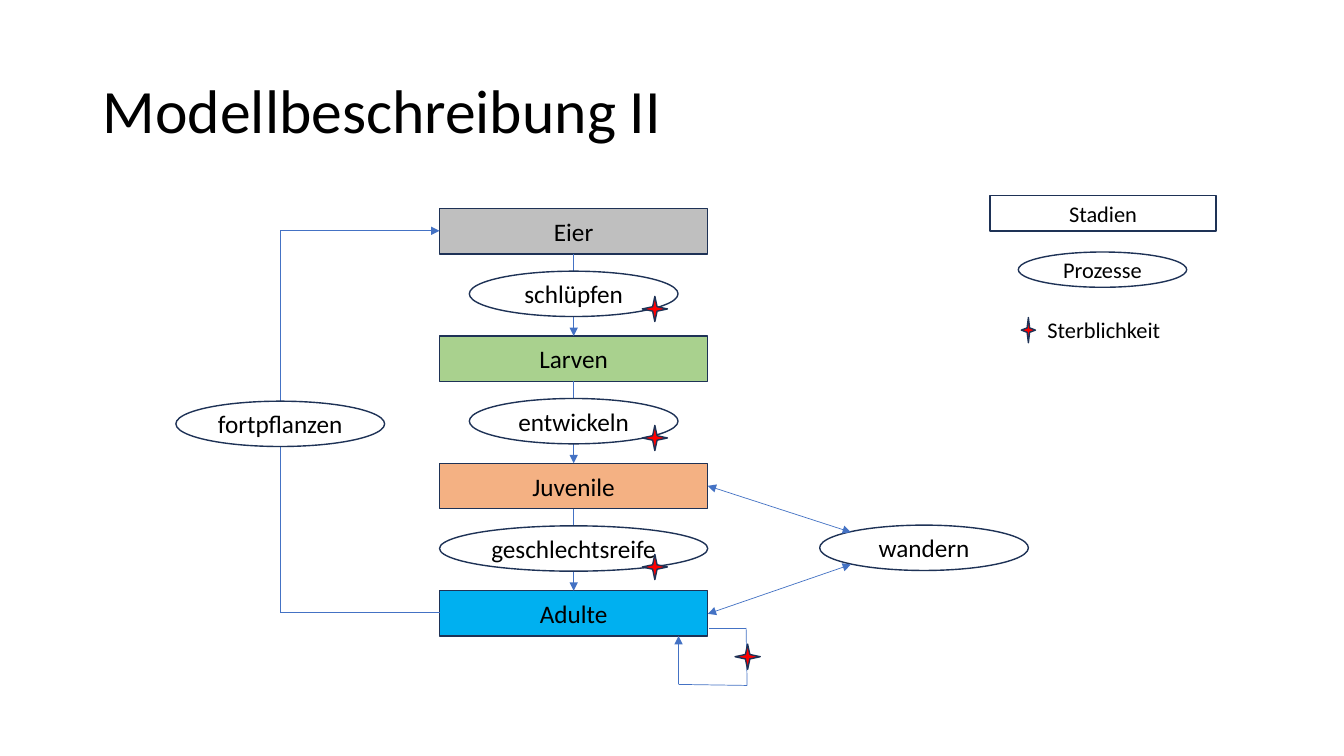
from pptx import Presentation
from pptx.dml.color import RGBColor
from pptx.enum.shapes import MSO_CONNECTOR, MSO_SHAPE
from pptx.enum.text import MSO_ANCHOR, PP_ALIGN
from pptx.oxml.ns import qn
from pptx.util import Inches, Pt
from lxml import etree

RECT, OVAL, STAR = MSO_SHAPE.RECTANGLE, MSO_SHAPE.OVAL, MSO_SHAPE.STAR_4_POINT
STRAIGHT = MSO_CONNECTOR.STRAIGHT
MIDDLE = MSO_ANCHOR.MIDDLE
LEFT, CENTER = PP_ALIGN.LEFT, PP_ALIGN.CENTER
FONT = "Calibri"
COLORS = {
    "text": "000000", "white": "FFFFFF", "edge": "1E3256", "arrow": "4472C4",
    "eggs": "BFBFBF", "larvae": "A9D18E", "young": "F4B183",
    "adult": "00B0F0", "death": "FF0000",
}
STAGES = [("Eier", "eggs"), ("Larven", "larvae"),
          ("Juvenile", "young"), ("Adulte", "adult")]
STEPS = [("schlüpfen", 2.07), ("entwickeln", 2.07), ("geschlechtsreife", 2.66)]
BOX_W, BOX_H = 2.66, 0.45
OVAL_W = 2.07
PITCH = 3.79 / 3


def color(name):
    return RGBColor.from_string(COLORS[name])


def style(para, size, align):
    para.alignment = align
    for run in para.runs:
        run.font.name = FONT
        run.font.size = Pt(size)
        run.font.color.rgb = color("text")


def node(slide, kind, x, y, w, h, fill="white", text="", size=18):
    shape = slide.shapes.add_shape(kind, Inches(x), Inches(y), Inches(w), Inches(h))
    shape.shadow.inherit = False
    shape.fill.solid()
    shape.fill.fore_color.rgb = color(fill)
    shape.line.color.rgb = color("edge")
    shape.line.width = Pt(1)
    if text:
        frame = shape.text_frame
        frame.word_wrap = False
        frame.vertical_anchor = MIDDLE
        frame.text = text
        style(frame.paragraphs[0], size, CENTER)
    return shape


def star(slide, x, y, w=0.25):
    node(slide, STAR, x, y, w, 0.25, "death")


def link(slide, start, end, *ends):
    """Draw a line; ends names the arrowheads, headEnd at start before tailEnd at end."""
    line = slide.shapes.add_connector(STRAIGHT, *map(Inches, start + end))
    line.line.color.rgb = color("arrow")
    line.line.width = Pt(0.5)
    props = line._element.spPr
    for tag in ends:
        etree.SubElement(props.find(qn("a:ln")), qn("a:" + tag), type="triangle")
    etree.SubElement(props, qn("a:effectLst"))


def route(slide, points):
    """Join points by straight lines, with an arrowhead on the last."""
    last = len(points) - 2
    for i, (start, end) in enumerate(zip(points, points[1:])):
        link(slide, start, end, *(["tailEnd"] if i == last else []))


def title(slide, x, y, w, h):
    shape = slide.shapes.title
    shape.left, shape.top, shape.width, shape.height = map(Inches, (x, y, w, h))
    frame = shape.text_frame
    frame.text = "Modellbeschreibung II"
    frame.vertical_anchor = MIDDLE
    style(frame.paragraphs[0], 44, LEFT)
    frame.paragraphs[0].line_spacing = 0.9


def stages(slide, x, y):
    """Draw the column of stages with the processes between them."""
    mid = x + BOX_W / 2
    for i, (name, fill) in enumerate(STAGES):
        node(slide, RECT, x, y + i * PITCH, BOX_W, BOX_H, fill, name)
    for i, (name, w) in enumerate(STEPS):
        top = y + i * PITCH
        link(slide, (mid, top + BOX_H), (mid, top + PITCH), "tailEnd")
        node(slide, OVAL, mid - w / 2, top + 0.62, w, BOX_H, text=name)
        star(slide, x + 2.01, y + 0.87 + i * 1.28)


def breeding(slide, x, y, right):
    """Lead from the adults back to the eggs along the line at x."""
    low = y + 3 * PITCH
    route(slide, [(right, low), (x, low), (x, y), (right, y)])
    node(slide, OVAL, x - OVAL_W / 2, y + 1.69, OVAL_W, BOX_H, text="fortpflanzen")


def roaming(slide, x, y, left):
    node(slide, OVAL, x, y, OVAL_W, BOX_H, text="wandern")
    for from_y, to_y in ((-0.39, 0.07), (0.88, 0.39)):
        link(slide, (left, y + from_y), (x + 0.31, y + to_y), "headEnd", "tailEnd")


def survival(slide, x, y):
    """Draw the loop of the adults that starts at x, y."""
    route(slide, [(x, y), (x + 0.37, y), (x + 0.38, y + 0.57),
                  (x - 0.3, y + 0.56), (x - 0.3, y + 0.08)])
    star(slide, x + 0.26, y + 0.16)


def legend(slide, x, y):
    node(slide, RECT, x, y, 2.24, 0.35, text="Stadien", size=16)
    node(slide, OVAL, x + 0.28, y + 0.56, 1.67, 0.35, text="Prozesse", size=16)
    star(slide, x + 0.31, y + 1.21, 0.14)
    label = slide.shapes.add_textbox(
        Inches(x + 0.47), Inches(y + 1.1), Inches(1.49), Inches(0.45))
    frame = label.text_frame
    frame.word_wrap = True
    frame.vertical_anchor = MIDDLE
    frame.text = "Sterblichkeit"
    style(frame.paragraphs[0], 16, LEFT)


def main():
    deck = Presentation()
    deck.slide_width, deck.slide_height = Inches(13.33), Inches(7.5)
    slide = deck.slides.add_slide(deck.slide_layouts[5])
    title(slide, 0.92, 0.4, 11.5, 1.45)
    stages(slide, 4.36, 2.07)
    breeding(slide, 2.78, 2.29, 4.36)
    roaming(slide, 8.13, 5.21, 7.02)
    survival(slide, 7.03, 6.23)
    legend(slide, 9.82, 1.94)
    deck.save("out.pptx")


if __name__ == "__main__":
    main()
